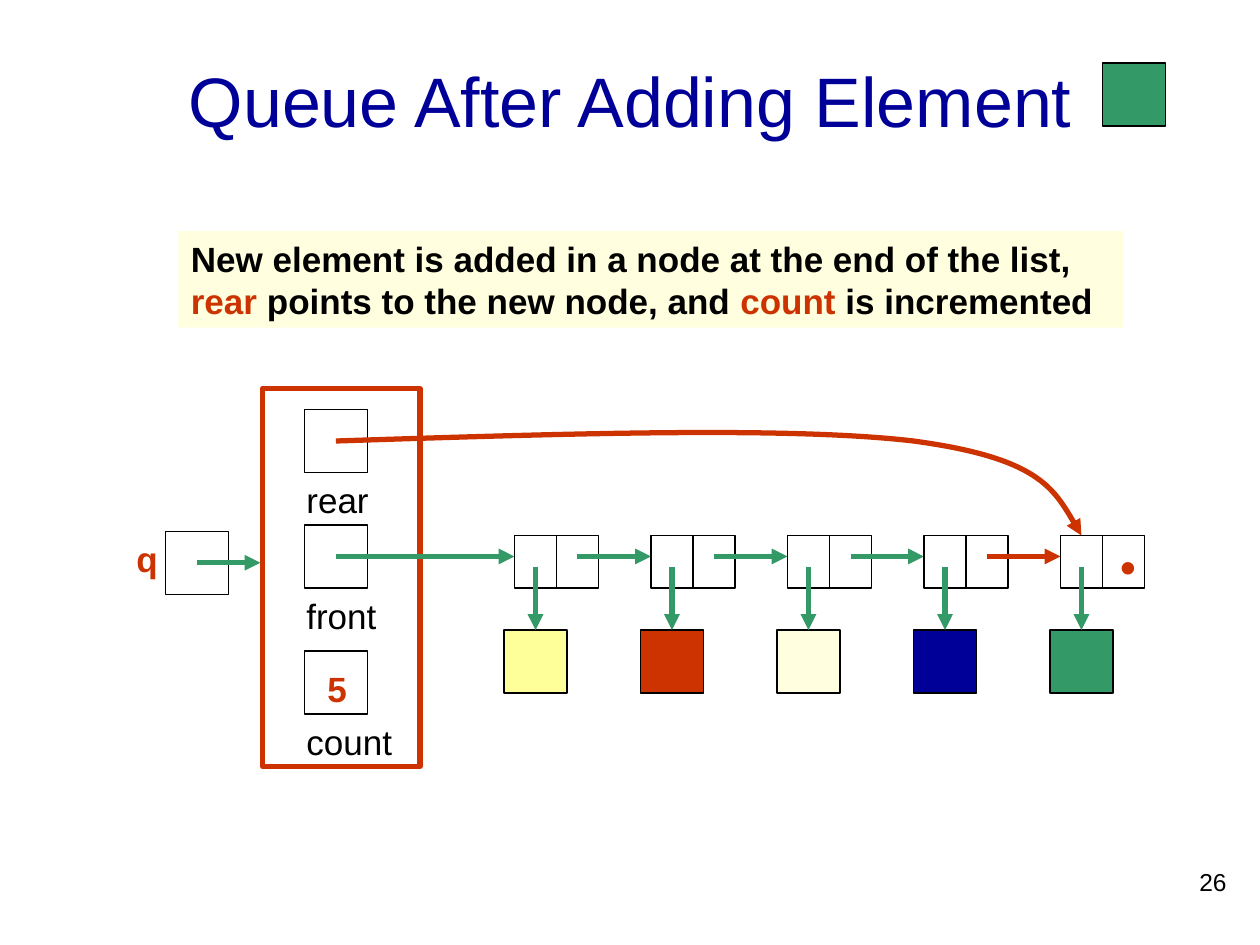
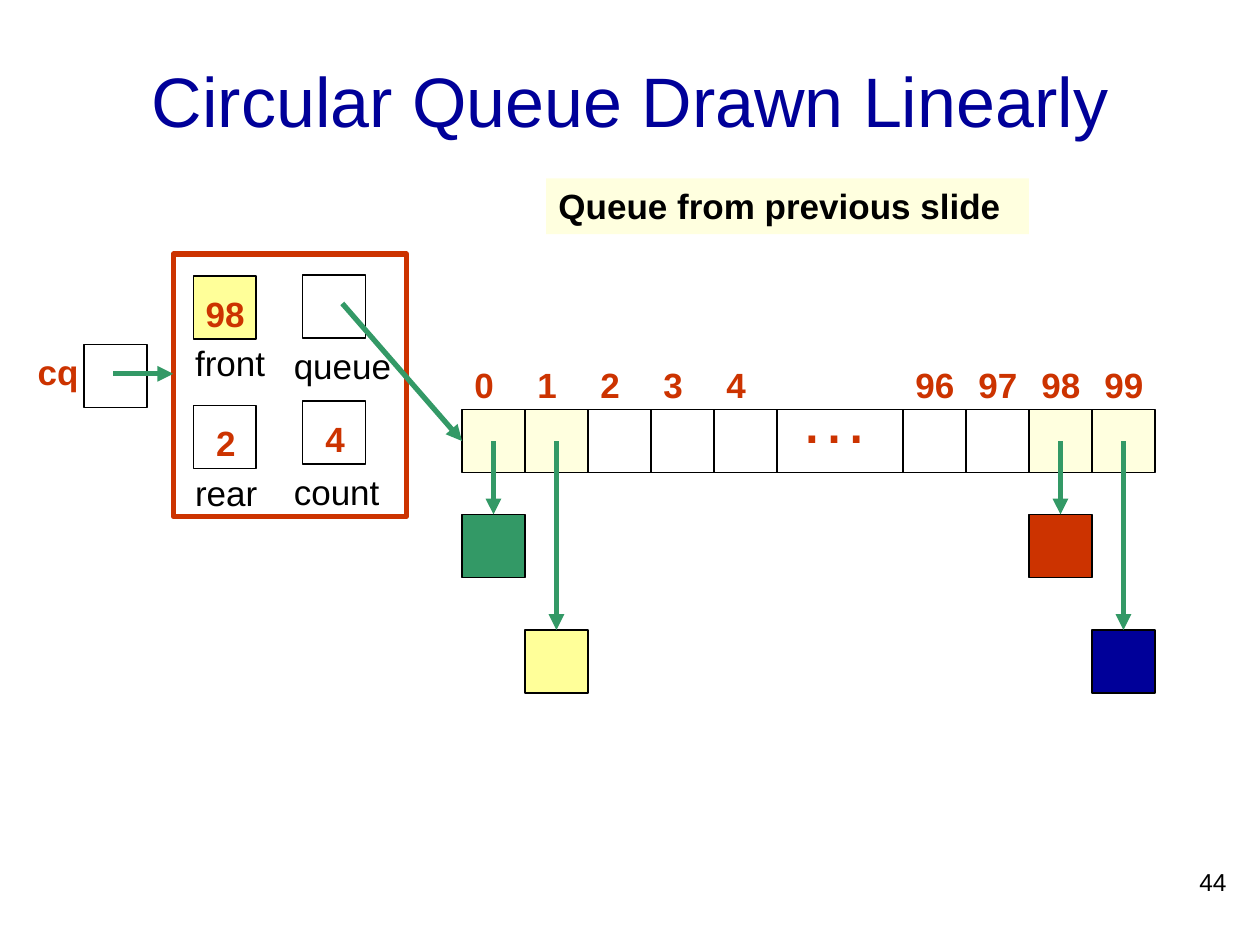
from lxml import etree
from pptx import Presentation
from pptx import util as u
from pptx.dml.color import RGBColor
from pptx.enum import shapes, text
from pptx.oxml.ns import qn

PX = 7620  # EMU in one px: 120 px to the inch
COLORS = {
    "title": "000099", "ink": "000000", "accent": "CC3300", "arrow": "339966",
    "green": "339966", "yellow": "FFFF99", "red": "CC3300",
    "cream": "FFFFDF", "blue": "000099",
}
CELL = 60
LINE_H = 53
THIN, THICK = 0.75, 3


def px(*lengths):
    return [u.Emu(round(length * PX)) for length in lengths]


def rgb(name):
    return RGBColor.from_string(COLORS[name])


# Basic parts
def style_text(frame, runs, size, bold=False, font="Arial", align=None):
    """Fill a frame with one paragraph of (words, colour) runs."""
    frame.word_wrap = True
    paragraph = frame.paragraphs[0]
    paragraph.alignment = align or text.PP_ALIGN.LEFT
    for words, color in runs:
        run = paragraph.add_run()
        run.text = words
        run.font.size, run.font.bold, run.font.name = u.Pt(size), bold, font
        run.font.color.rgb = rgb(color)


def add_label(slide, box, words, color="ink", size=20, **style):
    label = slide.shapes.add_textbox(*px(*box))
    style_text(label.text_frame, [(words, color)], size, **style)
    return label


def add_value(slide, x, y, words):
    width = 47 if len(words) == 1 else 70
    add_label(slide, (x, y, width, LINE_H), words, "accent", bold=True)


def add_box(slide, box, fill=None, line="ink", weight=THIN):
    rect = slide.shapes.add_shape(shapes.MSO_SHAPE.RECTANGLE, *px(*box))
    rect.shadow.inherit = False
    if fill:
        rect.fill.solid()
        rect.fill.fore_color.rgb = rgb(fill)
    else:
        rect.fill.background()
    if line:
        rect.line.color.rgb = rgb(line)
        rect.line.width = u.Pt(weight)
    else:
        rect.line.fill.background()
    return rect


def add_cell(slide, x, y, fill=None):
    return add_box(slide, (x, y, CELL, CELL), fill)


def add_arrowhead(shape):
    etree.SubElement(shape.line._get_or_add_ln(), qn("a:tailEnd"), type="triangle")


def add_line(slide, start, end, color="ink", weight=THIN):
    line = slide.shapes.add_connector(
        shapes.MSO_CONNECTOR.STRAIGHT, *px(*start, *end))
    line.line.color.rgb = rgb(color)
    line.line.width = u.Pt(weight)
    etree.SubElement(line._element.spPr, qn("a:effectLst"))
    return line


def add_arrow(slide, start, end, color="arrow", target=None, side=0):
    arrow = add_line(slide, start, end, color, THICK)
    add_arrowhead(arrow)
    if target is not None:
        arrow.end_connect(target, side)


def add_curved_arrow(slide, points, color):
    """Draw cubic curves through a start point and triples of control points."""
    builder = slide.shapes.build_freeform(*points[0], scale=PX)
    builder.add_line_segments(points[1:], close=False)
    curve = builder.convert_to_shape()
    curve.shadow.inherit = False
    curve.fill.background()
    curve.line.color.rgb = rgb(color)
    curve.line.width = u.Pt(THICK)
    add_arrowhead(curve)
    # Turn every three straight segments into one cubic curve
    segments = list(curve._element.iter(qn("a:lnTo")))
    outline = segments[0].getparent()
    for first in range(0, len(segments), 3):
        cubic = etree.SubElement(outline, qn("a:cubicBezTo"))
        for segment in segments[first:first + 3]:
            cubic.append(segment[0])
            outline.remove(segment)


# Shared regions
def add_frame(prs, title, number):
    """Start a slide with its title and number."""
    slide = prs.slides.add_slide(prs.slide_layouts[6])
    heading = add_label(slide, (90, 20, 1020, 150), title, "title", 40,
                        align=text.PP_ALIGN.CENTER)
    heading.text_frame.vertical_anchor = text.MSO_ANCHOR.MIDDLE
    add_label(slide, (930, 820, 250, 60), number, size=14,
              align=text.PP_ALIGN.RIGHT)
    return slide


def add_banner(slide, box, runs):
    banner = add_box(slide, box, "cream", line=None)
    banner.text_frame.vertical_anchor = text.MSO_ANCHOR.TOP
    style_text(banner.text_frame, runs, 20, bold=True)


def add_reference(slide, box, name, name_dx, arrow_from, arrow_length):
    """Draw a variable's cell, its name at the left and its arrow."""
    x, y, width, height = box
    add_label(slide, (x + name_dx, y, 40 - name_dx, LINE_H), name, "accent",
              bold=True)
    add_box(slide, (x, y, width, height))
    dx, dy = arrow_from
    add_arrow(slide, (x + dx, y + dy), (x + dx + arrow_length, y + dy))


def add_record(slide, box, fields):
    """Draw an object whose fields are cells with a name below."""
    left, top, _, _ = box
    add_box(slide, box, line="accent", weight=THICK)
    for name, dx, dy, name_dx, name_dy, value, fill in fields:
        x, y = left + dx, top + dy
        add_cell(slide, x, y, fill)
        add_label(slide, (x + name_dx, y + name_dy, 120, LINE_H), name)
        if value:
            add_value(slide, x + (10 if len(value) == 1 else 0), y + 10, value)


# Linked list
def add_linked_list(slide, box, elements):
    """Draw a row of two-part nodes, each pointing down to its element."""
    left, top, pitch, height = box
    half = 40
    for i, fill in enumerate(elements):
        x = left + i * pitch
        for part in range(2):
            add_box(slide, (x + part * half, top, half, height))
        element = add_cell(slide, x - 10, top + 90, fill)
        add_arrow(slide, (x + 20, top + 30), (x + 20, top + 90), target=element)
        if i < len(elements) - 1:
            newest = i == len(elements) - 2
            add_arrow(slide, (x + 60, top + 20), (x + pitch, top + 20),
                      "accent" if newest else "arrow")
    # Null mark in the last node
    add_label(slide, (x + half, top - 70, half, 132), ".", "accent", 60,
              font="Times New Roman")


# Array
def add_array(slide, box, indices, elements):
    """Draw numbered cells; None in indices widens the gap by one cell."""
    left, top, size, _ = box
    cells = {}
    for slot, index in enumerate(indices):
        if index is None:
            continue
        x = left + slot * size
        cells[index] = add_cell(slide, x, top,
                                "cream" if index in elements else None)
        add_value(slide, x, top - 50, index)

    # Skipped middle
    skipped = indices.index(None)
    gap_left = left + skipped * size
    gap_right = gap_left + indices.count(None) * size
    for y in (top, top + size):
        add_line(slide, (gap_left, y), (gap_right, y))
    add_label(slide, (gap_left + 10, top - 40, 110, 92), "…", "accent", 40)

    # Elements below their cells
    for index, (drop, fill) in elements.items():
        x = left + indices.index(index) * size
        element = add_cell(slide, x, top + drop, fill)
        add_arrow(slide, (x + size / 2, top + size / 2),
                  (x + size / 2, top + drop), target=element)
    return cells


# Slides
def build_linked_queue(prs):
    slide = add_frame(prs, "Queue After Adding Element", "26")
    add_cell(slide, 1050, 60, "green")
    add_banner(slide, (170, 220, 900, 92), [
        ("New element is added in a node at the end of the list, ", "ink"),
        ("rear", "accent"), (" points to the new node, and ", "ink"),
        ("count", "accent"), (" is incremented", "ink")])
    add_record(slide, (250, 370, 150, 360), [
        ("rear", 40, 20, -10, 60, None, None),
        ("front", 40, 130, -10, 60, None, None),
        ("count", 40, 250, -10, 60, "5", None)])
    add_reference(slide, (158, 506, CELL, CELL), "q", -40, (30, 30), 60)
    add_linked_list(slide, (490, 510, 130, 50),
                    ["yellow", "red", "cream", "blue", "green"])
    # Front and rear references
    add_arrow(slide, (320, 530), (490, 530))
    add_curved_arrow(slide, [
        (320, 420), (536, 413), (751, 406), (870, 420),
        (989, 436), (1009, 473), (1030, 510)], "accent")


def build_circular_queue(prs):
    slide = add_frame(prs, "Circular Queue Drawn Linearly", "44")
    add_banner(slide, (520, 170, 460, LINE_H),
               [("Queue from previous slide", "ink")])
    add_record(slide, (165, 242, 222, 250), [
        ("front", 19, 21, -10, 56, "98", "yellow"),
        ("rear", 19, 144, -10, 57, "2", None),
        ("queue", 123, 20, -20, 60, None, None),
        ("count", 123, 140, -20, 60, "4", None)])
    add_reference(slide, (80, 328, CELL, CELL), "cq", -56, (28, 28), 57)
    cells = add_array(
        slide, (440, 390, CELL, CELL),
        ["0", "1", "2", "3", "4", None, None, "96", "97", "98", "99"],
        {"0": (100, "green"), "1": (210, "yellow"),
         "98": (100, "red"), "99": (210, "blue")})
    # Queue reference
    add_arrow(slide, (326, 289), (440, 420), target=cells["0"], side=1)


def main():
    prs = Presentation()
    prs.slide_width, prs.slide_height = px(1200, 900)
    build_linked_queue(prs)
    build_circular_queue(prs)
    prs.save("out.pptx")


if __name__ == "__main__":
    main()
